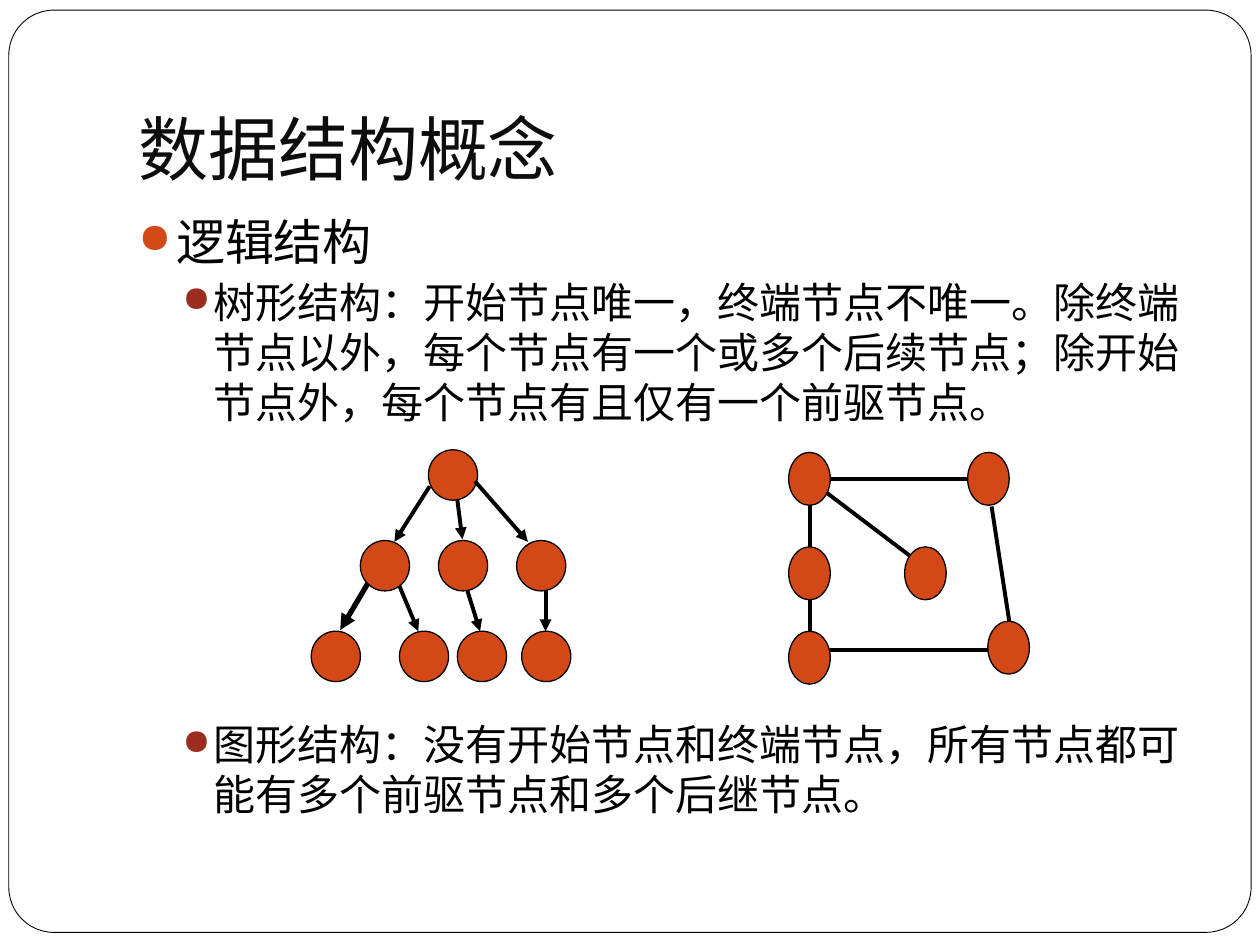
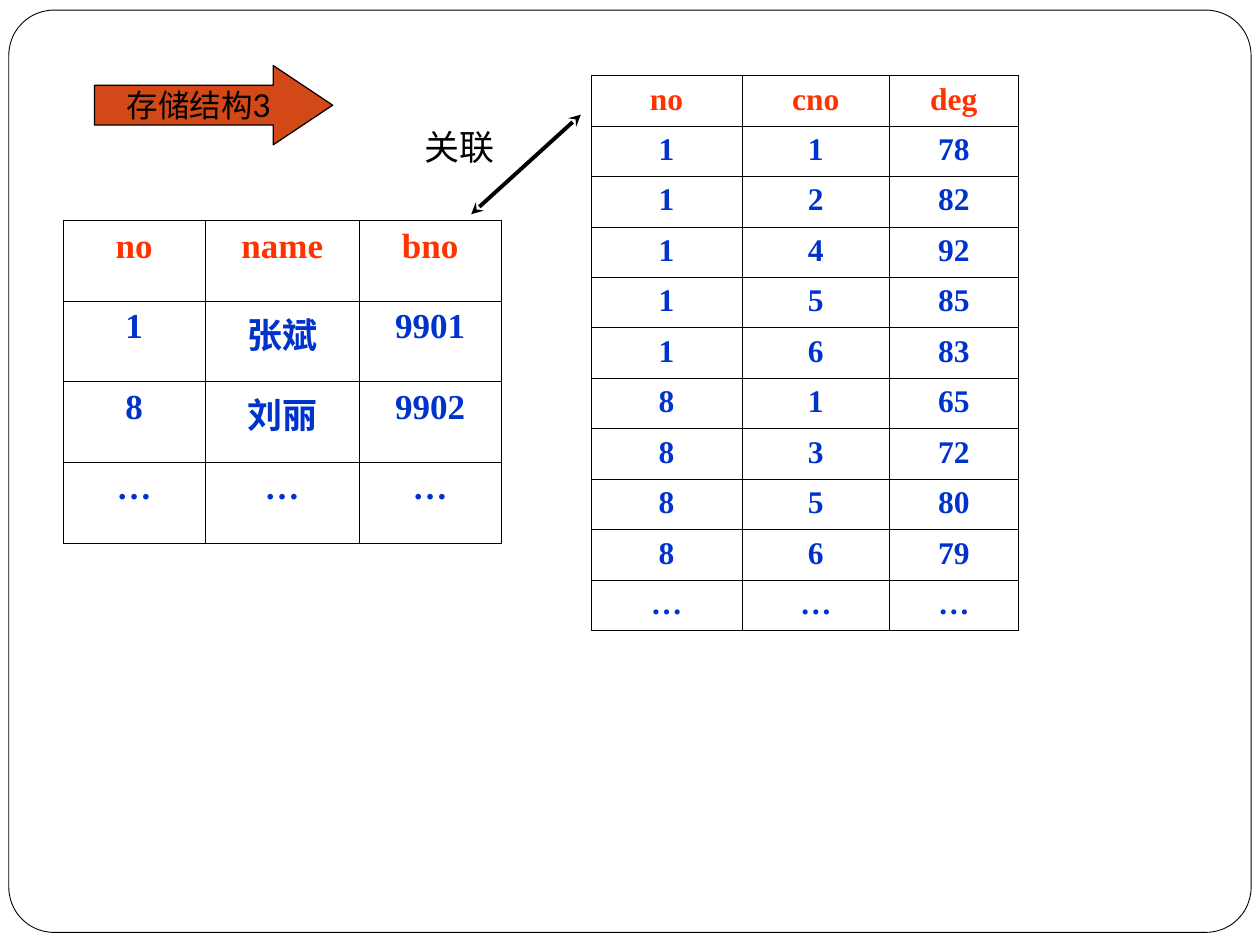
from pptx import Presentation, util as u
from pptx.dml.color import RGBColor
from pptx.enum import shapes, text
from pptx.oxml import parse_xml
from pptx.oxml.ns import nsdecls, qn

BLACK, WHITE, ORANGE = "000000", "FFFFFF", "D34817"
DARK_RED, TITLE_INK = "9B2D1F", "0D0D0D"
HEAD_RED, CELL_BLUE = "FF3300", "0033CC"
CJK, SERIF = "Noto Sans CJK SC", "Times New Roman"
SHAPE, ALIGN, ANCHOR = shapes.MSO_SHAPE, text.PP_ALIGN, text.MSO_ANCHOR


def colour(hex_string):
    return RGBColor.from_string(hex_string)


def inches(*lengths):
    return [u.Inches(length) for length in lengths]


def element(xml):
    """Make a drawing element from its tag and content."""
    tag, rest = xml.split("|")
    return parse_xml(f"<a:{tag} {nsdecls('a')} {rest}")


def add_span(para, words, size, font=CJK, ink=BLACK, bold=False):
    span = para.add_run()
    span.text = words
    formats = {"size": u.Pt(size), "name": font, "bold": bold}
    for name, value in formats.items():
        setattr(span.font, name, value)
    span.font.color.rgb = colour(ink)
    if any(char >= "一" for char in words):
        span.font._element.append(element(f'ea|typeface="{CJK}"/>'))


def set_frame(frame, **changes):
    formats = {"margin_left": 0.1, "margin_right": 0.1,
               "margin_top": 0.05, "margin_bottom": 0.05}
    formats = {name: u.Inches(value) for name, value in formats.items()}
    for name, value in {**formats, "word_wrap": True, **changes}.items():
        setattr(frame, name, value)


def add_text_box(page, box, **changes):
    frame = page.shapes.add_textbox(*inches(*box)).text_frame
    set_frame(frame, **changes)
    return frame


def add_shape(page, kind, box, fill, width=0.75, adjustments=()):
    shape = page.shapes.add_shape(kind, *inches(*box))
    shape.shadow.inherit = False
    shape.fill.solid()
    shape.fill.fore_color.rgb = colour(fill)
    shape.line.color.rgb = colour(BLACK)
    shape.line.width = u.Pt(width)
    for index, value in enumerate(adjustments):
        shape.adjustments[index] = value
    return shape


def add_line(page, start, end, width=2.25, head=None, tail=None):
    line = page.shapes.add_connector(
        shapes.MSO_CONNECTOR.STRAIGHT, *inches(*start, *end))
    line.line.color.rgb = colour(BLACK)
    line.line.width = u.Pt(width)
    outline = line.line._get_or_add_ln()
    for tag, kind in (("headEnd", head), ("tailEnd", tail)):
        if kind:
            outline.append(element(f'{tag}|type="{kind}"/>'))
    line._element.spPr.append(element("effectLst|/>"))


def add_page(deck):
    """Add a blank page with the rounded frame."""
    page = deck.slides.add_slide(deck.slide_layouts[6])
    add_shape(page, SHAPE.ROUNDED_RECTANGLE, (0.07, 0.08, 9.86, 7.32),
              WHITE, 0.5, [0.049])
    return page


def add_title(page, words):
    frame = add_text_box(page, (1, 0.3, 8.5, 1.25),
                         vertical_anchor=ANCHOR.BOTTOM)
    add_span(frame.paragraphs[0], words, 40, "Roboto", TITLE_INK)


def add_bullet(para, spans, size, pitch, before, indent, hanging, dot):
    properties = para._p.get_or_add_pPr()
    properties.set("marL", str(u.Inches(indent)))
    properties.set("indent", str(-u.Inches(hanging)))
    for xml in (f'buClr|><a:srgbClr val="{dot}"/></a:buClr>',
                'buSzPct|val="85000"/>', 'buChar|char="●"/>'):
        properties.append(element(xml))
    para.line_spacing = u.Pt(pitch)
    para.space_before = u.Pt(before)
    for words, font in spans:
        add_span(para, words, size, font)


def add_outline(page, box, topic, points):
    """Add a topic and its points, each with its own space before."""
    frame = add_text_box(page, box)
    add_bullet(frame.paragraphs[0], [(topic, SERIF)], 28, 37, 0,
               0.3, 0.3, ORANGE)
    for name, meaning, before in points:
        add_bullet(frame.add_paragraph(), [(name, SERIF), (meaning, CJK)],
                   24, 28.6, before, 0.6, 0.25, DARK_RED)


def add_network(page, box, node_size, nodes, edges, tail=None):
    """Add nodes and edges, placed from the corner of the box."""
    left, top = box
    for x, y in nodes:
        add_shape(page, SHAPE.OVAL, (left + x, top + y, *node_size), ORANGE)
    for x1, y1, x2, y2, width in edges:
        add_line(page, (left + x1, top + y1), (left + x2, top + y2),
                 width, tail=tail)


def add_tree(page, box):
    levels = [(0, [0.93]), (0.72, [0.39, 1.01, 1.63]),
              (1.44, [0, 0.7, 1.16, 1.67])]
    nodes = [(x, y) for y, places in levels for x in places]
    edges = [(0.94, 0.29, 0.66, 0.73, 2.25), (1.16, 0.4, 1.2, 0.71, 2.25),
             (1.3, 0.25, 1.72, 0.73, 2.25), (0.7, 1.08, 0.85, 1.44, 2.25),
             (1.24, 1.12, 1.34, 1.44, 2.25), (1.86, 1.12, 1.86, 1.44, 2.25),
             (0.45, 1.06, 0.23, 1.43, 3)]
    add_network(page, box, (0.39, 0.4), nodes, edges, "triangle")


def add_graph(page, box):
    nodes = [(0, 0), (1.42, 0), (0, 0.75), (0.92, 0.75),
             (1.58, 1.34), (0, 1.42)]
    edges = [(0.33, 0.21, 1.42, 0.21), (0.3, 0.32, 0.96, 0.82),
             (0.17, 0.42, 0.17, 0.75), (0.17, 1.17, 0.17, 1.42),
             (0.33, 1.57, 1.58, 1.57), (1.61, 0.43, 1.75, 1.34)]
    add_network(page, box, (0.33, 0.42), nodes,
                [(*edge, 2.25) for edge in edges])


def add_grid(page, place, widths, row_height, rows, size):
    """Add a ruled table whose first row holds the field names."""
    box = (*place, sum(widths), row_height * len(rows))
    table = page.shapes.add_table(len(rows), len(widths), *inches(*box)).table
    table.first_row = table.horz_banding = False
    for column, width in zip(table.columns, widths):
        column.width = u.Inches(width)
    for row_index, row in enumerate(rows):
        table.rows[row_index].height = u.Inches(row_height)
        for column_index, words in enumerate(row):
            cell = table.cell(row_index, column_index)
            para = cell.text_frame.paragraphs[0]
            para.alignment = ALIGN.CENTER
            add_span(para, words, size, SERIF,
                     CELL_BLUE if row_index else HEAD_RED, True)
            cell.fill.background()
            rule_cell(cell)


def rule_cell(cell):
    properties = cell._tc.get_or_add_tcPr()
    for index, side in enumerate("LRTB"):
        properties.insert(index, element(
            f'ln{side}|w="{u.Pt(0.45)}"><a:solidFill>'
            f'<a:srgbClr val="{BLACK}"/></a:solidFill></a:ln{side}>'))


def build_concept_page(deck):
    page = add_page(deck)
    add_title(page, "数据结构概念")
    add_outline(page, (1, 1.58, 8.5, 5), "逻辑结构", [
        ("树形结构：", "开始节点唯一，终端节点不唯一。除终端节点以外，"
         "每个节点有一个或多个后续节点；除开始节点外，"
         "每个节点有且仅有一个前驱节点。", 3.7),
        ("图形结构：", "没有开始节点和终端节点，"
         "所有节点都可能有多个前驱节点和多个后继节点。", 167)])
    add_tree(page, (2.47, 3.57))
    add_graph(page, (6.26, 3.59))


def build_storage_page(deck):
    page = add_page(deck)
    students = [("no", "name", "bno"), ("1", "张斌", "9901"),
                ("8", "刘丽", "9902"), ("…",) * 3]
    add_grid(page, (0.5, 1.75), (1.13, 1.22, 1.13), 0.64, students, 20)
    add_line(page, (4.61, 0.91), (3.74, 1.7), head="stealth", tail="stealth")
    relation = add_text_box(page, (3.27, 0.95, 1.1, 0.44))
    add_span(relation.paragraphs[0], "关联", 20, "DejaVu Sans")

    arrow = add_shape(page, SHAPE.RIGHT_ARROW, (0.75, 0.52, 1.89, 0.63),
                      ORANGE, adjustments=(0.5, 0.749))
    set_frame(arrow.text_frame, word_wrap=False,
              vertical_anchor=ANCHOR.MIDDLE)
    label = arrow.text_frame.paragraphs[0]
    label.alignment = ALIGN.CENTER
    add_span(label, "存储结构3", 18, "Lato")

    scores = [("no", "cno", "deg"),
              ("1", "1", "78"), ("1", "2", "82"), ("1", "4", "92"),
              ("1", "5", "85"), ("1", "6", "83"), ("8", "1", "65"),
              ("8", "3", "72"), ("8", "5", "80"), ("8", "6", "79"),
              ("…",) * 3]
    add_grid(page, (4.69, 0.6), (1.2, 1.17, 1.02), 0.4, scores, 18)


def main():
    deck = Presentation()
    deck.slide_width, deck.slide_height = inches(10, 7.5)
    build_concept_page(deck)
    build_storage_page(deck)
    deck.save("out.pptx")


if __name__ == "__main__":
    main()
